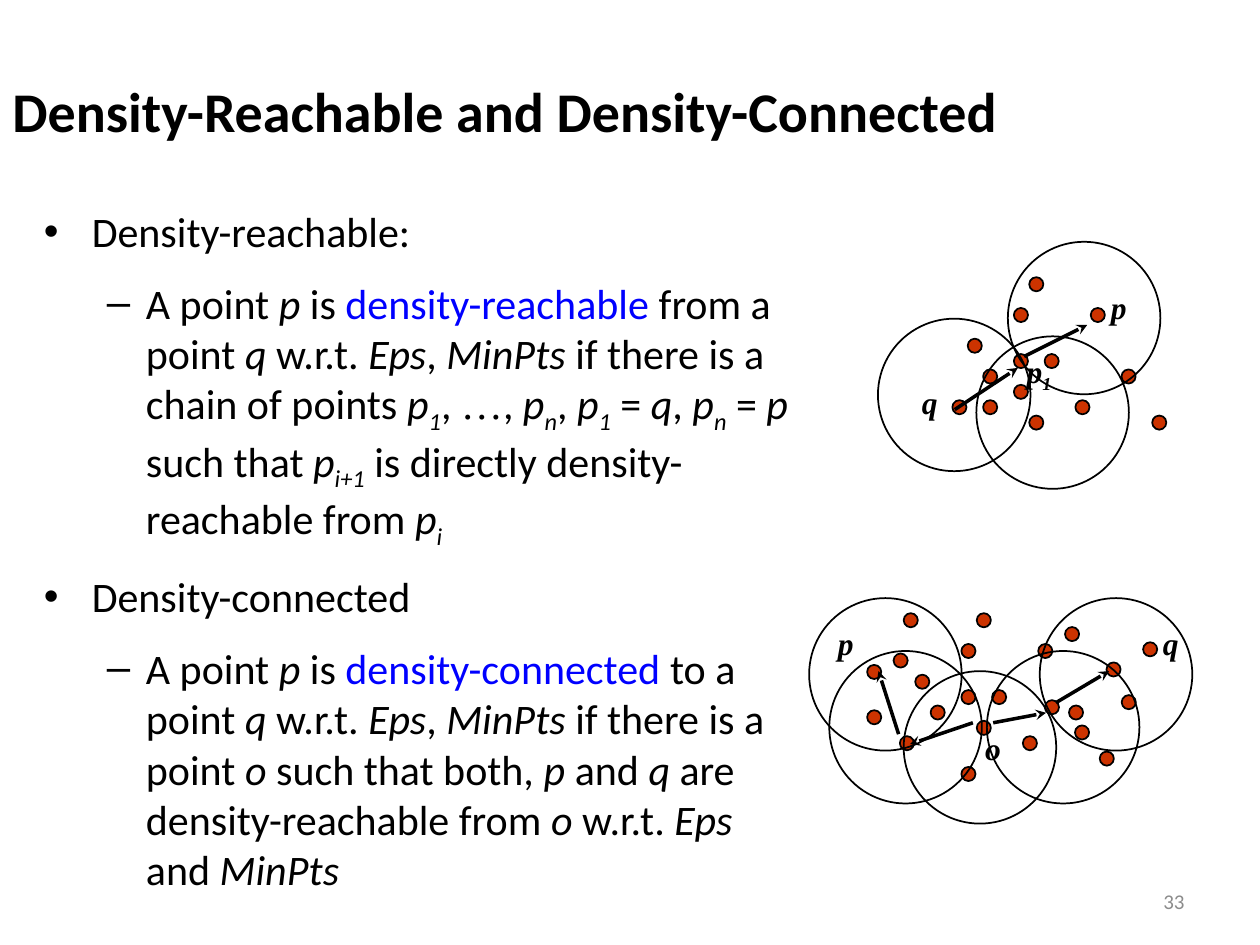
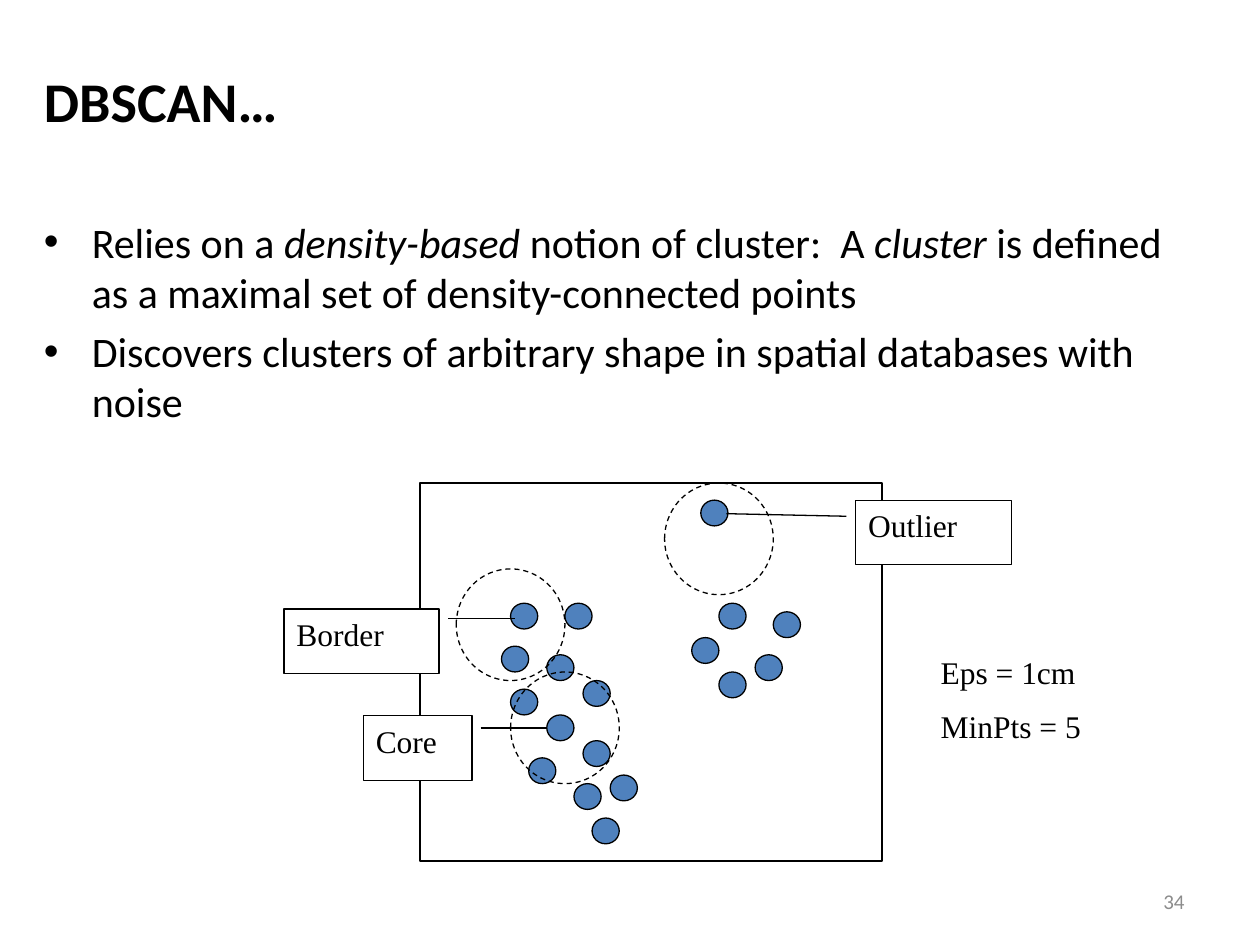
from dataclasses import dataclass

from pptx import Presentation
from pptx.dml.color import RGBColor
from pptx.enum.dml import MSO_LINE
from pptx.enum.shapes import MSO_CONNECTOR, MSO_SHAPE
from pptx.enum.text import MSO_ANCHOR, PP_ALIGN
from pptx.oxml.ns import qn
from pptx.util import Inches, Pt
from lxml.etree import SubElement, Element


class Theme:
    sans, serif = "Calibri", "Times New Roman"
    black, white, gray, blue, red, steel = map(
        RGBColor.from_string,
        ("000000", "FFFFFF", "8C8C8C", "0000FF", "CC3300", "4F81BD"))
    title, body, label, page = 32, 24, 18, 12
    thin, mid, thick = 0.75, 1, 2


@dataclass
class Box:
    """An area in inches, split into columns and rows."""
    left: float
    top: float
    width: float
    height: float
    cols: float = 1
    rows: float = 1

    def point(self, col, row):
        return (Inches(self.left + col * self.width / self.cols),
                Inches(self.top + row * self.height / self.rows))

    def size(self, wide, high):
        return (Inches(wide * self.width / self.cols),
                Inches(high * self.height / self.rows))

    def place(self, col, row, wide, high):
        return *self.point(col, row), *self.size(wide, high)

    def grid(self, col, row, wide, high, cols, rows):
        area = self.place(col, row, wide, high)
        return Box(*(side.inches for side in area), cols, rows)


PAGE = Box(0, 0, 10, 7.5, 120, 90)
MARKS = "*_#~"  # italic, subscript, blue, serif


def write(par, text, size, face=Theme.sans, color=Theme.black,
          bold=None, italic=None, gap=0, bullet=None):
    """Fill a paragraph; characters in MARKS switch a style on and off."""
    font = par.font
    font.name, font.size, font.color.rgb = face, Pt(size), color
    font.bold, font.italic = bold, italic
    on, piece = set(), ""

    def flush():
        if not piece:
            return
        run = par.add_run()
        run.text = piece
        if "*" in on:
            run.font.italic = True
        if "_" in on:
            run.font._element.set("baseline", "-25000")
        if "#" in on:
            run.font.color.rgb = Theme.blue
        if "~" in on:
            run.font.name = Theme.serif

    for char in text:
        if char in MARKS:
            flush()
            on ^= {char}
            piece = ""
        else:
            piece += char
    flush()

    props = par._p.get_or_add_pPr()
    if gap:
        space = Element(qn("a:spcBef"))
        SubElement(space, qn("a:spcPct"), val=str(gap * 1000))
        props.insert(0, space)
    if bullet:
        at = 1 if gap else 0
        props.insert(at, Element(qn("a:buFont"), typeface="Arial"))
        props.insert(at + 1, Element(qn("a:buChar"), char=bullet))


def add_text(slide, area, lines, anchor=MSO_ANCHOR.TOP, **style):
    frame = slide.shapes.add_textbox(*area).text_frame
    frame.word_wrap, frame.vertical_anchor = True, anchor
    for num, line in enumerate(lines):
        par = frame.add_paragraph() if num else frame.paragraphs[0]
        write(par, line, **style)
    return frame


def add_body(slide, area, items, gap):
    """Bulleted list of (level, text) pairs."""
    frame = slide.shapes.add_textbox(*area).text_frame
    frame.word_wrap = True
    for num, (level, text) in enumerate(items):
        par = frame.add_paragraph() if num else frame.paragraphs[0]
        par.level = level
        margin, hang, mark = ((0.38, 0.38, "•"), (0.81, 0.31, "–"))[level]
        write(par, text, Theme.body, gap=gap, bullet=mark)
        props = par._p.get_or_add_pPr()
        props.set("marL", str(Inches(margin)))
        props.set("indent", str(-Inches(hang)))


def add_shape(slide, kind, area, fill=None, width=Theme.thin, dash=None):
    shape = slide.shapes.add_shape(kind, *area)
    shape.shadow.inherit = False
    if fill is None:
        shape.fill.background()
    else:
        shape.fill.solid()
        shape.fill.fore_color.rgb = fill
    shape.line.color.rgb, shape.line.width = Theme.black, Pt(width)
    if dash:
        shape.line.dash_style = dash
    return shape


def add_arrow(slide, start, end):
    line = slide.shapes.add_connector(MSO_CONNECTOR.STRAIGHT, *start, *end)
    line.line.color.rgb, line.line.width = Theme.black, Pt(Theme.thick)
    SubElement(line.line._get_or_add_ln(), qn("a:tailEnd"), type="stealth")
    SubElement(line._element.spPr, qn("a:effectLst"))


def add_base(deck, title, area, number):
    """New slide with its title and page number."""
    slide = deck.slides.add_slide(deck.slide_layouts[6])
    add_text(slide, area, [title], MSO_ANCHOR.MIDDLE,
             size=Theme.title, bold=True)
    foot = add_text(slide, PAGE.place(86, 83.4, 28, 4.8), [str(number)],
                    MSO_ANCHOR.MIDDLE, size=Theme.page, color=Theme.gray)
    foot.paragraphs[0].alignment = PP_ALIGN.RIGHT
    return slide


def add_plot(slide, box, dots, rings, labels, arrows):
    """Points, neighbourhood circles, names and arrows on the box's grid."""
    for dot in dots:
        add_shape(slide, MSO_SHAPE.OVAL, box.place(*dot, 0.92, 0.92),
                  Theme.red, Theme.mid)
    for ring in rings:
        add_shape(slide, MSO_SHAPE.OVAL, box.place(*ring, 9.92, 9.92),
                  width=Theme.mid)
    for text, col, row in labels:
        wide = 3.44 if len(text) == 1 else 5.5
        add_text(slide, box.place(col, row, wide, 4.1), [text],
                 size=Theme.label, face=Theme.serif, bold=True,
                 italic=True, gap=50)
    for col, row, end_col, end_row in arrows:
        add_arrow(slide, box.point(col, row), box.point(end_col, end_row))


def add_cluster(slide, box, dots, rings, notes, terms):
    """Framed scatter with dashed circles and callouts on the box's grid."""
    for dot in dots:
        add_shape(slide, MSO_SHAPE.OVAL, box.place(*dot, 3, 3), Theme.steel)
    add_shape(slide, MSO_SHAPE.RECTANGLE,
              box.place(0, 0, box.cols, box.rows))
    for ring in rings:
        add_shape(slide, MSO_SHAPE.OVAL, box.place(*ring, 12, 13),
                  dash=MSO_LINE.DASH)
    for text, col, row, wide, ends in notes:
        note = add_shape(slide, MSO_SHAPE.LINE_CALLOUT_1,
                         box.place(col, row, wide, 7.5), Theme.white)
        for num, end in enumerate(ends):
            note.adjustments[num] = end
        frame = note.text_frame
        frame.word_wrap, frame.vertical_anchor = True, MSO_ANCHOR.TOP
        frame.paragraphs[0].alignment = PP_ALIGN.LEFT
        write(frame.paragraphs[0], text, Theme.label, Theme.serif)
    add_text(slide, box.place(56.1, 19.1, 25, 16.1), terms,
             size=Theme.label, face=Theme.serif, gap=50)


def reach_slide(deck):
    slide = add_base(deck, "Density-Reachable and Density-Connected",
                     PAGE.place(0, 5, 120, 11), 33)
    add_body(slide, PAGE.place(3, 19, 74, 66), [
        (0, "Density-reachable:"),
        (1, "A point *p* is #density-reachable# from a point *q* w.r.t. "
            "*Eps*, *MinPts* if there is a chain of points *p_1_*, ~…~, "
            "*p_n_*, *p_1_* = *q*, *p_n_* = *p* such that *p_i+1_* is "
            "directly density-reachable from *p_i_*"),
        (0, "Density-connected"),
        (1, "A point *p* is #density-connected# to a point *q* w.r.t. "
            "*Eps*, *MinPts* if there is a point *o *such that both, *p* "
            "and *q* are density-reachable from *o* w.r.t. *Eps* and "
            "*MinPts*"),
    ], 50)

    shared = [(1, 4), (4, 5), (4, 2), (0, 8), (2, 6), (5, 0), (11, 6),
              (9, 2), (6, 5), (8, 8), (13, 9)]
    add_plot(
        slide, PAGE.grid(90.7, 26.4, 20.5, 14.64, 14, 10),
        dots=shared + [(2, 8), (5, 9), (4, 7)],
        rings=[(1.56, 3.85), (-4.84, 2.7), (3.61, -2.3)],
        labels=[("p", 9.51, 0.33), ("q", -2.79, 6.48),
                ("p_1_", 4.02, 4.43)],
        arrows=[(4.67, 5.16, 8.77, 3.11), (0.16, 8.61, 4.26, 5.9)])
    add_plot(
        slide, PAGE.grid(85.7, 58.4, 20.5, 14.64, 14, 10),
        dots=shared + [
            (4, 10), (5, 7), (-2.13, 6.31), (14.43, 5.33), (9.43, 5.66),
            (11.39, 7.3), (15.82, 1.89), (10.74, 0.9), (13.44, 3.2),
            (-0.41, 2.62), (-2.13, 3.36), (0.25, 0)],
        rings=[(-4.59, 2.46), (0.25, 3.77), (5.66, 2.46), (9.1, -0.98),
               (-5.9, -0.98)],
        labels=[("p", -4.84, 0.33), ("q", 16.31, 0.33), ("o", 4.75, 7.13)],
        arrows=[(4.75, 7.13, 0.66, 8.52), (6.07, 7.13, 9.51, 6.48),
                (-0.08, 7.87, -1.39, 3.77), (10.16, 5.82, 13.61, 3.77)])


def scan_slide(deck):
    slide = add_base(deck, "DBSCAN…", PAGE.place(3, 3, 112, 13), 34)
    add_body(slide, PAGE.place(3, 20, 112, 66), [
        (0, "Relies on a *density-based* notion of cluster:  A *cluster* "
            "is defined as a maximal set of density-connected points"),
        (0, "Discovers clusters of arbitrary shape in spatial databases "
            "with noise"),
    ], 20)
    add_cluster(
        slide, PAGE.grid(40, 46, 44, 36, 51, 44),
        dots=[(10, 14), (9, 19), (14, 20), (16, 14), (18, 23), (10, 24),
              (14, 27), (12, 32), (17, 35), (19, 39), (18, 30), (31, 2),
              (33, 14), (30, 18), (37, 20), (39, 15), (33, 22), (21, 34)],
        rings=[(4, 10), (10, 22), (27, 0)],
        notes=[("Core", -6.25, 27.1, 12, (0.19, 1.08, 0.19, 1.69)),
               ("Border", -15, 14.67, 17.1, (0.15, 1.06, 0.15, 1.49)),
               ("Outlier", 48.1, 2, 17.2, (0.25, -0.06, 0.21, -0.83))],
        terms=["Eps = 1cm", "MinPts = 5"])


def main():
    deck = Presentation()
    deck.slide_width, deck.slide_height = Inches(10), Inches(7.5)
    reach_slide(deck)
    scan_slide(deck)
    deck.save("out.pptx")


if __name__ == "__main__":
    main()
